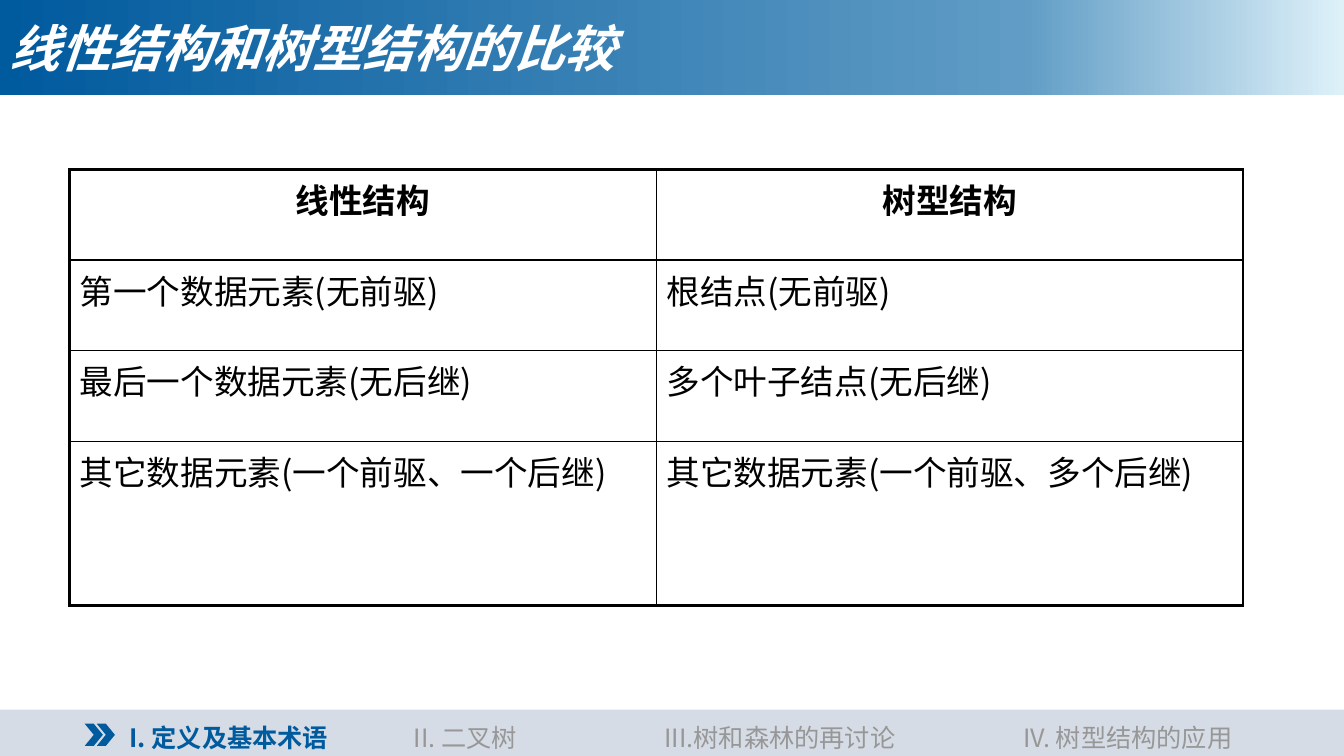
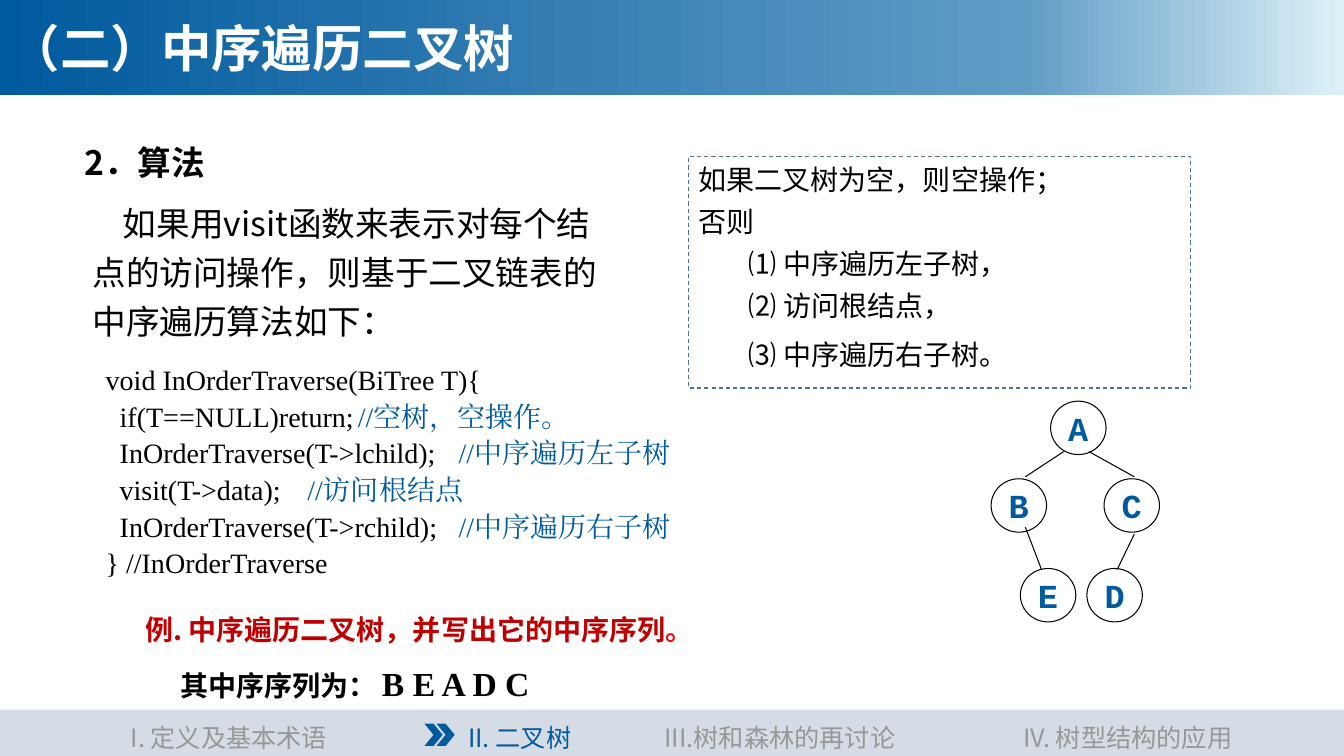
import lxml.etree
import pptx
import pptx.dml.color
import pptx.enum.dml
import pptx.enum.shapes
import pptx.enum.text
import pptx.oxml.ns
import pptx.util

EMU_PER_PX = 9144  # 100 px to the inch
SLIDE_WIDTH, SLIDE_HEIGHT = 1333, 750

THEME = {
    "sans": "Noto Sans CJK SC", "serif": "Times New Roman", "mono": "Courier New",
    "black": "000000", "white": "FFFFFF", "blue": "005A9E", "grey": "979797",
    "red": "C00000", "bright_red": "FF0000", "band": "D6DCE5", "dash": "49738F",
    "gradient": [(0, "005A9E"), (76, "609CC5"), (100, "DEF1F9")],
    "title": 36, "body": 24, "small": 20, "footer": 18,
    "thin": 0.75, "inner": 1, "outer": 2.25,
}
SHAPES = pptx.enum.shapes.MSO_SHAPE
MIDDLE = pptx.enum.text.MSO_ANCHOR.MIDDLE
CENTER = pptx.enum.text.PP_ALIGN.CENTER

# label, left, width
SECTIONS = [
    ("I. 定义及基本术语", 43, 368),
    ("II. 二叉树", 350, 223),
    ("III.树和森林的再讨论", 628, 291),
    ("IV. 树型结构的应用", 997, 243),
]
COMPARISON = {
    "title": "线性结构和树型结构的比较", "italic": True,
    "current": {"index": 0, "left": 43, "marker": 84, "bold": True},
    "rows": [
        ("线性结构", "树型结构"),
        ("第一个数据元素(无前驱)", "根结点(无前驱)"),
        ("最后一个数据元素(无后继)", "多个叶子结点(无后继)"),
        ("其它数据元素(一个前驱、一个后继)", "其它数据元素(一个前驱、多个后继)"),
    ],
    "row_heights": [90, 90, 90, 163], "column_width": 582, "origin": (69, 168),
}
TRAVERSAL = {
    "title": "（二）中序遍历二叉树", "italic": False,
    "current": {"index": 1, "left": 404, "marker": 421, "bold": False},
    "heading": "2．算法",
    "intro": "如果用visit函数来表示对每个结点的访问操作，则基于二叉链表的中序遍历算法如下：",
    "code": [
        ("void InOrderTraverse(BiTree T){", ""),
        ("  if(T==NULL)return;", "//空树，空操作。"),
        ("  InOrderTraverse(T->lchild);", "//中序遍历左子树"),
        ("  visit(T->data);", "//访问根结点"),
        ("  InOrderTraverse(T->rchild);", "//中序遍历右子树"),
        ("} //InOrderTraverse", ""),
    ],
    # text, left indent, space before in points
    "steps": [
        ("如果二叉树为空，则空操作；", 0, 0),
        ("否则", 0, 5),
        ("⑴ 中序遍历左子树，", 50, 5),
        ("⑵ 访问根结点，", 50, 5),
        ("⑶ 中序遍历右子树。", 50, 10),
    ],
    "example": ("例. 中序遍历二叉树，并写出它的中序序列", "。"),
    "answer": ("其中序序列为：", "B E A D C"),
    "nodes": {"A": (1042, 398), "B": (983, 475), "C": (1095, 475),
              "E": (1012, 564), "D": (1078, 564)},
    "node_size": (55, 53),
    "edges": [((1055, 448), (1017, 473)), ((1080, 448), (1125, 473)),
              ((1017, 523), (1033, 565)), ((1125, 530), (1108, 565))],
}


def px(length):
    return pptx.util.Emu(round(length * EMU_PER_PX))


def rgb(name):
    return pptx.dml.color.RGBColor.from_string(THEME.get(name, name))


def add_element(parent, tag, **attributes):
    return lxml.etree.SubElement(parent, pptx.oxml.ns.qn(tag), attributes)


def run(text, size="body", color="black", font="sans", bold=False, italic=False):
    return {"text": text, "size": size, "color": color, "font": font,
            "bold": bold, "italic": italic}


def para(*runs, line=None, before=0, left=0, first=0, tab=None, align=None):
    return {"runs": runs, "line": line, "before": before, "left": left,
            "first": first, "tab": tab, "align": align}


def line_height(size):
    return pptx.util.Pt(1.25 * THEME[size])


def write(frame, paragraphs, **formats):
    """Fill a text frame; formats are attributes of the frame."""
    for name, value in {"word_wrap": True, **formats}.items():
        setattr(frame, name, value)
    for index, content in enumerate(paragraphs):
        paragraph = frame.add_paragraph() if index else frame.paragraphs[0]
        properties = paragraph._p.get_or_add_pPr()
        properties.set("marL", str(px(content["left"])))
        properties.set("indent", str(px(content["first"])))
        if content["tab"]:
            tabs = add_element(properties, "a:tabLst")
            add_element(tabs, "a:tab", pos=str(px(content["tab"])), algn="l")
        settings = {"alignment": content["align"], "line_spacing": content["line"],
                    "space_before": pptx.util.Pt(content["before"])}
        for name, value in settings.items():
            setattr(paragraph, name, value)
        for piece in content["runs"]:
            text_run = paragraph.add_run()
            text_run.text = piece["text"]
            settings = {"name": THEME[piece["font"]],
                        "size": pptx.util.Pt(THEME[piece["size"]]),
                        "bold": piece["bold"], "italic": piece["italic"]}
            for name, value in settings.items():
                setattr(text_run.font, name, value)
            text_run.font.color.rgb = rgb(piece["color"])
            add_element(text_run._r.get_or_add_rPr(), "a:ea",
                        typeface=THEME[piece["font"]])


def add_text(slide, box, paragraphs, **formats):
    shape = slide.shapes.add_textbox(*map(px, box))
    write(shape.text_frame, paragraphs, **formats)


def add_shape(slide, kind, box, fill=None, line=None):
    shape = slide.shapes.add_shape(kind, *map(px, box))
    shape.shadow.inherit = False
    if fill:
        shape.fill.solid()
        shape.fill.fore_color.rgb = rgb(fill)
    else:
        shape.fill.background()
    if line:
        shape.line.color.rgb = rgb(line)
        shape.line.width = pptx.util.Pt(THEME["thin"])
    else:
        shape.line.fill.background()
    return shape


def add_edge(slide, start, end):
    edge = slide.shapes.add_connector(
        pptx.enum.shapes.MSO_CONNECTOR.STRAIGHT, *map(px, start + end))
    edge.line.color.rgb = rgb("black")
    edge.line.width = pptx.util.Pt(THEME["thin"])
    add_element(edge._element.spPr, "a:effectLst")


def add_title(slide, title, italic):
    band = add_shape(slide, SHAPES.RECTANGLE, (0, 0, SLIDE_WIDTH, 94))
    band.fill.gradient()
    band.fill.gradient_angle = 0
    stops = band._element.spPr.find(".//" + pptx.oxml.ns.qn("a:gsLst"))
    for stop in list(stops):
        stops.remove(stop)
    for percent, color in THEME["gradient"]:
        stop = add_element(stops, "a:gs", pos=str(percent * 1000))
        add_element(stop, "a:srgbClr", val=color)
    title_run = run(title, "title", "white", bold=True, italic=italic)
    write(band.text_frame,
          [para(title_run, align=pptx.enum.text.PP_ALIGN.LEFT)],
          vertical_anchor=MIDDLE)


def add_footer(slide, current):
    add_shape(slide, SHAPES.RECTANGLE, (0, 704, SLIDE_WIDTH, 46), "band")
    for index, (label, left, width) in enumerate(SECTIONS):
        style = {"color": "grey"}
        if index == current["index"]:
            left = current["left"]
            style = {"color": "blue", "bold": current["bold"]}
        add_text(slide, (left, 710, width, 40),
                 [para(run(label, "footer", **style), align=CENTER,
                       line=line_height("footer"))])
    for offset in (12, 0):
        add_shape(slide, SHAPES.CHEVRON,
                  (current["marker"] + offset, 718, 18, 22), "blue")


def set_borders(cell, widths):
    properties = cell._tc.get_or_add_tcPr()
    for position, (tag, width) in enumerate(widths.items()):
        border = add_element(properties, tag, w=str(pptx.util.Pt(THEME[width])))
        add_element(add_element(border, "a:solidFill"), "a:srgbClr",
                    val=THEME["black"])
        properties.insert(position, border)


def add_comparison_table(slide, content):
    rows, heights = content["rows"], content["row_heights"]
    column_count, width = len(rows[0]), content["column_width"]
    frame = slide.shapes.add_table(
        len(rows), column_count, *map(px, content["origin"]),
        px(width * column_count), px(sum(heights)))
    table = frame.table
    table.first_row = table.horz_banding = False
    for column in table.columns:
        column.width = px(width)
    for row_index, (texts, height) in enumerate(zip(rows, heights)):
        table.rows[row_index].height = px(height)
        for column_index, text in enumerate(texts):
            cell = table.cell(row_index, column_index)
            cell.fill.background()
            header = row_index == 0
            write(cell.text_frame, [para(run(text, bold=header),
                                         align=CENTER if header else None)])
            on_edge = {"a:lnL": column_index == 0,
                       "a:lnR": column_index == column_count - 1,
                       "a:lnT": header, "a:lnB": row_index == len(rows) - 1}
            set_borders(cell, {tag: "outer" if edge else "inner"
                               for tag, edge in on_edge.items()})


def add_algorithm(slide, content):
    add_text(slide, (74, 134, 225, 50),
             [para(run(content["heading"], bold=True), line=line_height("body"))])
    add_text(slide, (82, 188, 530, 155),
             [para(run(content["intro"]), line=pptx.util.Pt(35), first=30)])

    code = []
    for index, (statement, comment) in enumerate(content["code"]):
        runs = [run(statement, "small", font="serif")]
        if comment:
            runs.append(run("\t" + comment, "small", "blue", "serif"))
        code.append(para(*runs, line=0.8, before=7 if index else 0, tab=436))
    add_text(slide, (95, 361, 1068, 222), code)

    box = add_shape(slide, SHAPES.RECTANGLE, (683, 155, 498, 230), line="dash")
    box.line.dash_style = pptx.enum.dml.MSO_LINE.DASH
    write(box.text_frame,
          [para(run(text, "small"), line=line_height("small"), left=left,
                before=before, align=pptx.enum.text.PP_ALIGN.LEFT)
           for text, left, before in content["steps"]],
          vertical_anchor=pptx.enum.text.MSO_ANCHOR.TOP)


def add_example(slide, content):
    sentence, stop = content["example"]
    add_text(slide, (134, 601, 866, 44),
             [para(run(sentence, "small", "red", bold=True),
                   run(stop, "small", "bright_red", bold=True),
                   line=line_height("small"))])
    label, order = content["answer"]
    add_text(slide, (169, 652, 889, 50),
             [para(run(label, "small", bold=True),
                   run("\t" + order, font="serif", bold=True),
                   line=line_height("body"), tab=216)],
             vertical_anchor=MIDDLE)


def add_tree(slide, content):
    for start, end in content["edges"]:
        add_edge(slide, start, end)
    no_margins = {"margin_" + side: 0 for side in ("left", "top", "right", "bottom")}
    for name, corner in content["nodes"].items():
        node = add_shape(slide, SHAPES.OVAL, corner + content["node_size"],
                         line="black")
        write(node.text_frame,
              [para(run(name, color="blue", font="mono", bold=True), align=CENTER)],
              word_wrap=False, vertical_anchor=MIDDLE, **no_margins)


def main():
    presentation = pptx.Presentation()
    presentation.slide_width = px(SLIDE_WIDTH)
    presentation.slide_height = px(SLIDE_HEIGHT)
    deck = [(COMPARISON, [add_comparison_table]),
            (TRAVERSAL, [add_algorithm, add_example, add_tree])]
    for content, parts in deck:
        slide = presentation.slides.add_slide(presentation.slide_layouts[6])
        add_title(slide, content["title"], content["italic"])
        for add_part in parts:
            add_part(slide, content)
        add_footer(slide, content["current"])
    presentation.save("out.pptx")


if __name__ == "__main__":
    main()
